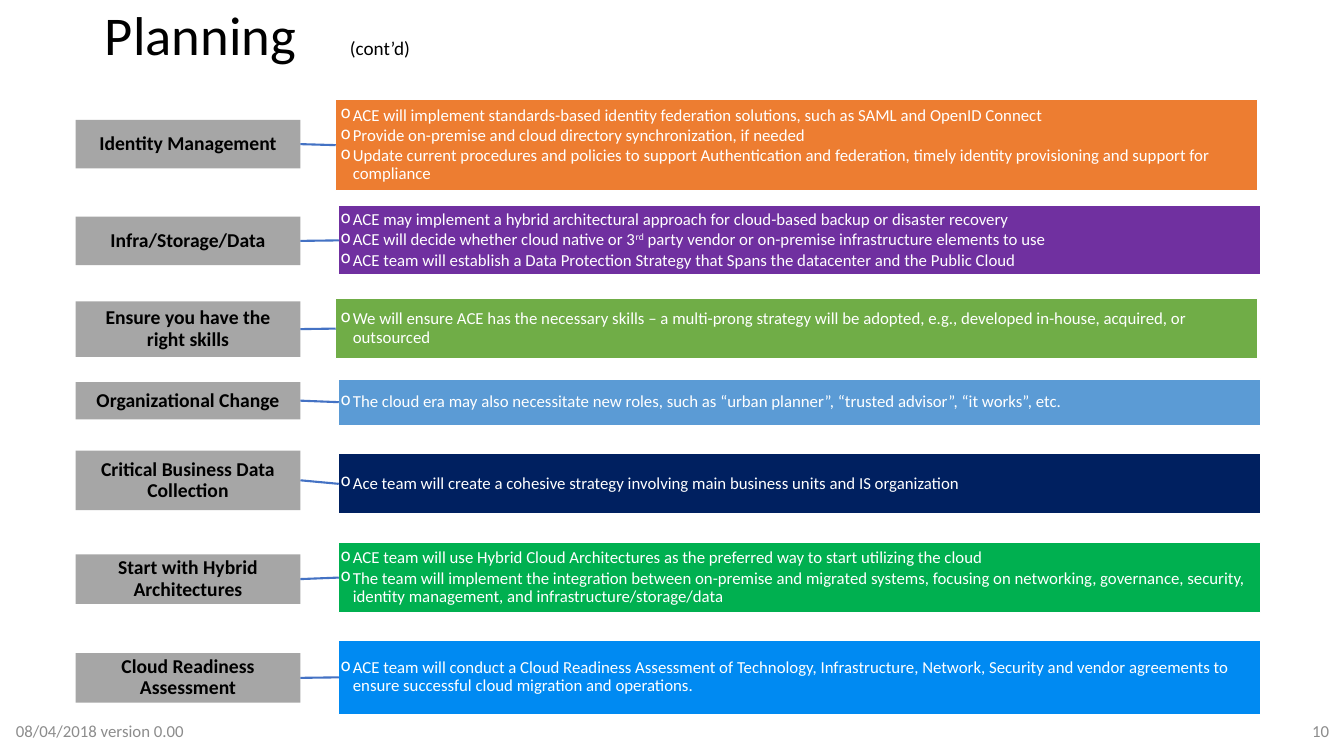
"""Build the planning slide: topic labels joined to coloured panels of points."""
from typing import NamedTuple

from lxml.etree import SubElement
from pptx import Presentation
from pptx.dml.color import RGBColor
from pptx.enum.shapes import MSO_CONNECTOR as Link, MSO_SHAPE as Form
from pptx.enum.text import MSO_ANCHOR as Anchor, MSO_AUTO_SIZE as Fit, PP_ALIGN as Align
from pptx.oxml.ns import qn
from pptx.shapes.autoshape import Shape
from pptx.slide import Slide
from pptx.util import Inches, Pt

CELL = Inches(0.1)
COLS, ROWS = 133.3, 75
LABEL_X, LABEL_W = 7.5, 22.3
PANEL_X, PANEL_W = 33.6, 91.4
FACE = "Calibri"
BLACK, WHITE, GREY, BLUE, DIM = "000000", "FFFFFF", "A6A6A6", "4472C4", "8C8C8C"


class Topic(NamedTuple):
    """A label and its panel; tops and heights are in grid rows."""

    name: str
    top: float
    high: float
    color: str
    panel_top: float
    panel_high: float
    points: list[str]
    left: float = PANEL_X


class Note(NamedTuple):
    """A footer text; left is in grid columns."""

    text: str
    left: float
    align: Align


TOPICS = [
    Topic("Identity Management", 11.9, 4.8, "ED7D31", 9.9, 9, [
        "ACE will implement standards-based identity federation solutions, "
        "such as SAML and OpenID Connect",
        "Provide on-premise and cloud directory synchronization, if needed",
        "Update current procedures and policies to support Authentication and "
        "federation, timely identity provisioning and support for compliance",
    ], 33.3),
    Topic("Infra/Storage/Data", 21.5, 4.8, "7030A0", 20.4, 6.9, [
        "ACE may implement a hybrid architectural approach for cloud-based "
        "backup or disaster recovery",
        "ACE will decide whether cloud native or 3^rd^ party vendor or "
        "on-premise infrastructure elements to use",
        "ACE team will establish a Data Protection Strategy that Spans the "
        "datacenter and the Public Cloud",
    ]),
    Topic("Ensure you have the right skills", 29.9, 5.5, "70AD47", 29.6, 6, [
        "We will ensure ACE has the necessary skills – a multi-prong strategy "
        "will be adopted, e.g., developed in-house, acquired, or outsourced",
    ], 33.3),
    Topic("Organizational Change", 37.9, 3.7, "5B9BD5", 37.6, 4.6, [
        "The cloud era may also necessitate new roles, such as “urban "
        "planner”, “trusted advisor”, “it works”, etc.",
    ]),
    Topic("Critical Business Data Collection", 44.7, 5.9, "002060", 45, 6, [
        "Ace team will create a cohesive strategy involving main business "
        "units and IS organization",
    ]),
    Topic("Start with Hybrid Architectures", 55, 4.9, "00B050", 53.8, 7, [
        "ACE team will use Hybrid Cloud Architectures as the preferred way to "
        "start utilizing the cloud",
        "The team will implement the integration between on-premise and "
        "migrated systems, focusing on networking, governance, security, "
        "identity management, and infrastructure/storage/data",
    ]),
    Topic("Cloud Readiness Assessment", 64.8, 4.9, "008AF2", 63.5, 7.4, [
        "ACE team will conduct a Cloud Readiness Assessment of Technology, "
        "Infrastructure, Network, Security and vendor agreements to ensure "
        "successful cloud migration and operations.",
    ]),
]
NOTES = [
    Note("08/04/2018 version 0.00", 0.6, Align.LEFT),
    Note("10", 102.8, Align.RIGHT),
]


def grid(*spans: float) -> list[int]:
    """Turn grid spans into slide lengths."""
    return [round(span * CELL) for span in spans]


def paint(item, color: str) -> None:
    """Give a fill a solid colour."""
    item.solid()
    item.fore_color.rgb = RGBColor.from_string(color)


def style(para, size: float, color: str, bold: bool = False) -> None:
    """Set the font of a whole paragraph."""
    font = para.font
    font.name, font.size, font.bold = FACE, Pt(size), bold
    font.color.rgb = RGBColor.from_string(color)


def draw_box(slide: Slide, spans: tuple, color: str, pads: tuple) -> Shape:
    """Draw a filled rectangle with centred text room."""
    box = slide.shapes.add_shape(Form.RECTANGLE, *grid(*spans))
    box.shadow.inherit = False
    paint(box.fill, color)
    frame = box.text_frame
    frame.word_wrap, frame.vertical_anchor = True, Anchor.MIDDLE
    left, top, right, low = grid(*pads)
    frame.margin_left, frame.margin_right = left, right
    frame.margin_top, frame.margin_bottom = top, low
    return box


def draw_label(slide: Slide, topic: Topic) -> Shape:
    """Draw the grey name box of a topic."""
    spans = (LABEL_X, topic.top, LABEL_W, topic.high)
    box = draw_box(slide, spans, GREY, (1, 0.4, 1, 0.4))
    box.line.fill.background()
    para = box.text_frame.paragraphs[0]
    para.text, para.alignment, para.line_spacing = topic.name, Align.CENTER, 0.9
    style(para, 14, BLACK, True)
    return box


def draw_panel(slide: Slide, topic: Topic) -> Shape:
    """Draw the coloured panel with its bulleted points."""
    spans = (topic.left, topic.panel_top, PANEL_W, topic.panel_high)
    inset = 33.8 - topic.left
    box = draw_box(slide, spans, topic.color, (inset, 0.4, 0.7, 0.4))
    paint(box.line.fill, WHITE)
    box.line.width = Pt(1)
    frame = box.text_frame
    for num, point in enumerate(topic.points):
        para = frame.add_paragraph() if num else frame.paragraphs[0]
        para.level, para.alignment = 1, Align.LEFT
        para.line_spacing, para.space_after = 0.9, Pt(1.5)
        props = para._p.get_or_add_pPr()
        props.set("marL", str(Inches(0.12)))
        props.set("indent", str(-Inches(0.12)))
        SubElement(props, qn("a:buChar")).set("char", "o")
        for turn, part in enumerate(point.split("^")):
            run = para.add_run()
            run.text = part
            if turn % 2:
                run._r.get_or_add_rPr().set("baseline", "30000")
        style(para, 12, WHITE)
    return box


def join(slide: Slide, label: Shape, panel: Shape) -> None:
    """Connect a label to its panel."""
    line = slide.shapes.add_connector(Link.STRAIGHT, 0, 0, 0, 0)
    line.begin_connect(label, 3)
    line.end_connect(panel, 1)
    paint(line.line.fill, BLUE)
    line.line.width = Pt(1.5)
    SubElement(line._element.spPr, qn("a:effectLst"))


def draw_title(slide: Slide) -> None:
    """Place and fill the title."""
    title = slide.shapes.title
    title.left, title.top, title.width, title.height = grid(9.4, 0.4, 95.7, 7.4)
    frame = title.text_frame
    frame.auto_size, frame.vertical_anchor = Fit.NONE, Anchor.TOP
    para = frame.paragraphs[0]
    para.alignment, para.line_spacing = Align.LEFT, 0.8
    tabs = SubElement(para._p.get_or_add_pPr(), qn("a:tabLst"))
    SubElement(tabs, qn("a:tab"), pos=str(Inches(2.43)), algn="l")
    style(para, 39, BLACK)
    for text, size in (("Planning", 39), ("\t", 42.9), ("(cont’d)", 13.7)):
        run = para.add_run()
        run.text, run.font.size = text, Pt(size)


def draw_note(slide: Slide, note: Note) -> None:
    """Write one footer text."""
    frame = slide.shapes.add_textbox(*grid(note.left, 70.5, 30, 4)).text_frame
    frame.word_wrap, frame.vertical_anchor = True, Anchor.MIDDLE
    para = frame.paragraphs[0]
    para.text, para.alignment = note.text, note.align
    style(para, 12, DIM)


def main() -> None:
    """Build and save the slide."""
    deck = Presentation()
    deck.slide_width, deck.slide_height = grid(COLS, ROWS)
    slide = deck.slides.add_slide(deck.slide_layouts[5])
    draw_title(slide)
    for topic in TOPICS:
        join(slide, draw_label(slide, topic), draw_panel(slide, topic))
    for note in NOTES:
        draw_note(slide, note)
    deck.save("out.pptx")


if __name__ == "__main__":
    main()
